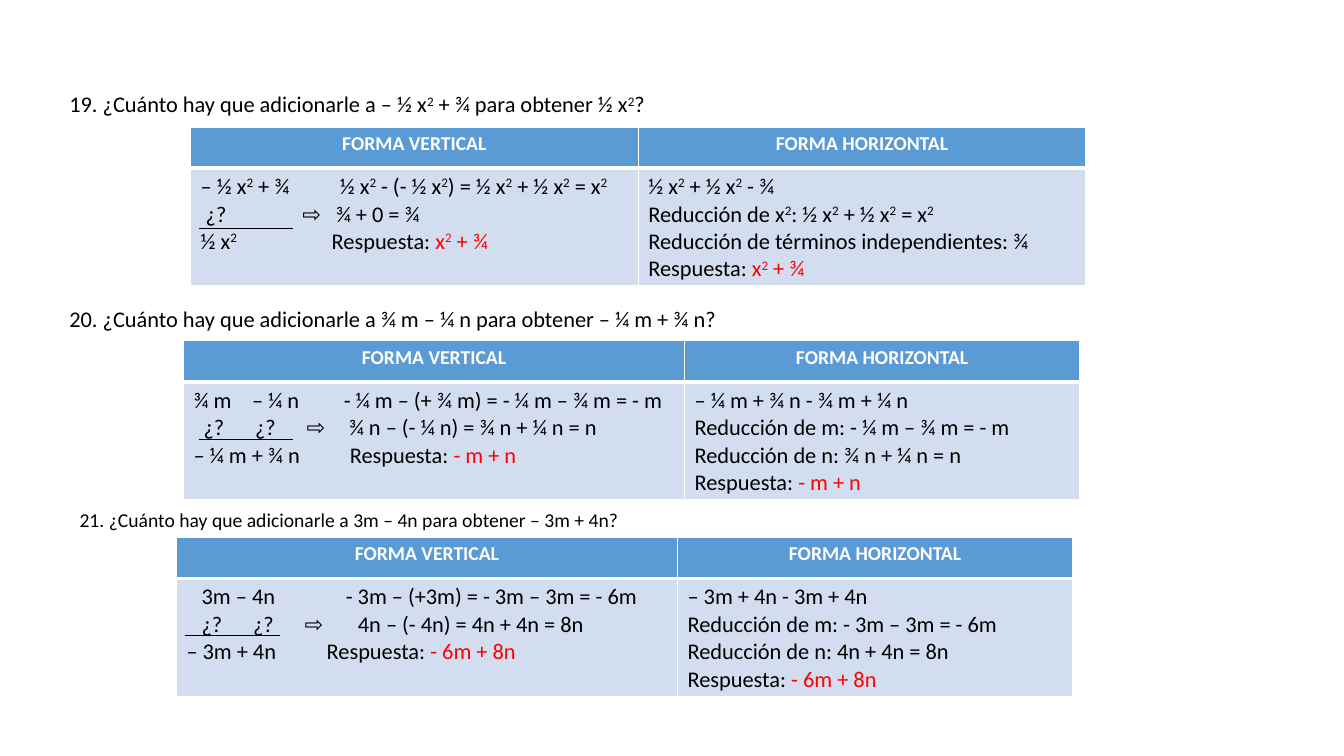
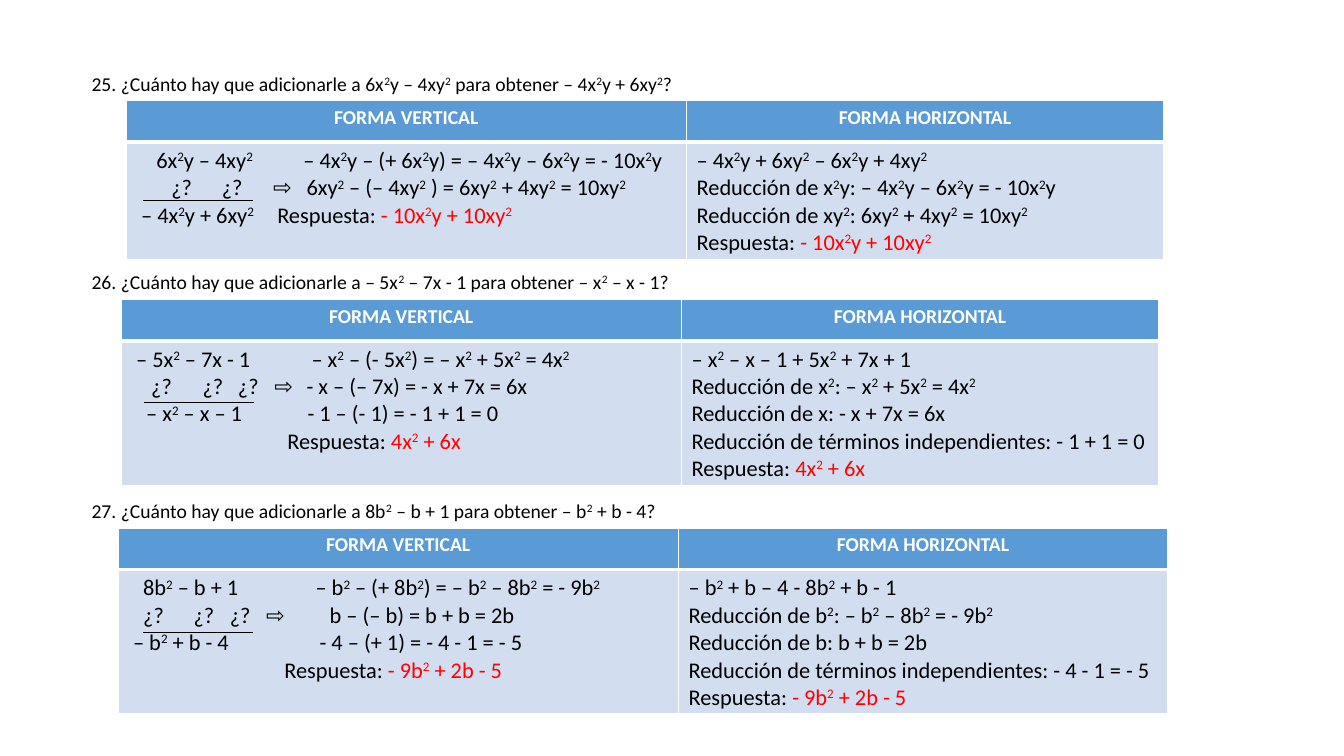
"""Builds two slides of algebra exercises, each solved in vertical and horizontal form."""
from dataclasses import dataclass
from typing import NamedTuple

from lxml.etree import SubElement
from pptx import Presentation
from pptx.dml.color import RGBColor
from pptx.enum.shapes import MSO_CONNECTOR as Connector
from pptx.enum.text import PP_ALIGN as Align
from pptx.oxml import parse_xml
from pptx.oxml.ns import nsdecls, qn
from pptx.util import Inches, Pt

BLACK = RGBColor(0x00, 0x00, 0x00)
WHITE = RGBColor(0xFF, 0xFF, 0xFF)
ANSWER_RED = RGBColor(0xFF, 0x00, 0x00)
HEADER_BLUE = RGBColor(0x5B, 0x9B, 0xD5)
BODY_BLUE = RGBColor(0xD2, 0xDE, 0xEF)

FONT = "Calibri"
HEADINGS = ("FORMA VERTICAL", "FORMA HORIZONTAL")
ANSWER_LABEL = "Respuesta: "
HEADER_SIZE, BODY_SIZE = 14, 16
HEADER_HEIGHT = 0.41


class Term(NamedTuple):
    stop: float
    text: str


class Question(NamedTuple):
    left: float
    top: float
    width: float
    size: int
    text: str


class SumLine(NamedTuple):
    left: float
    top: float
    width: float


@dataclass(frozen=True)
class Exercise:
    question: Question
    left: float
    top: float
    height: float
    columns: tuple[float, float]
    sum_line: SumLine
    vertical: list[list[Term]]
    horizontal: list[str]


SLIDES = [
    [
        Exercise(
            Question(0.59, 0.85, 11.5, 16, "19. ¿Cuánto hay que adicionarle a – ½ x^2 + ¾ para obtener ½ x^2?"),
            1.89, 1.26, 1.57, (4.44, 4.44), SumLine(1.97, 2.27, 0.94),
            [
                [Term(0, "– ½ x^2 + ¾"), Term(1.38, "½ x^2 - (- ½ x^2) = ½ x^2 + ½ x^2 = x^2")],
                [Term(0.05, "¿?"), Term(1.01, "⇨"), Term(1.34, "¾ + 0 = ¾")],
                [Term(0, "½ x^2"), Term(1.3, "Respuesta: x^2 + ¾")],
            ],
            [
                "½ x^2 + ½ x^2 - ¾",
                "Reducción de x^2: ½ x^2 + ½ x^2 = x^2",
                "Reducción de términos independientes: ¾",
                "Respuesta: x^2 + ¾",
            ],
        ),
        Exercise(
            Question(0.59, 2.98, 11.5, 16, "20. ¿Cuánto hay que adicionarle a ¾ m – ¼ n para obtener – ¼ m + ¾ n?"),
            1.82, 3.38, 1.57, (4.97, 3.92), SumLine(1.97, 4.36, 0.94),
            [
                [Term(0, "¾ m"), Term(0.58, "– ¼ n"), Term(1.49, "- ¼ m – (+ ¾ m) = - ¼ m – ¾ m = - m")],
                [Term(0.1, "¿?"), Term(0.61, "¿?"), Term(1.12, "⇨"), Term(1.54, "¾ n – (- ¼ n) = ¾ n + ¼ n = n")],
                [Term(0, "– ¼ m + ¾ n"), Term(1.55, "Respuesta: - m + n")],
            ],
            [
                "– ¼ m + ¾ n - ¾ m + ¼ n",
                "Reducción de m: - ¼ m – ¾ m = - m",
                "Reducción de n: ¾ n + ¼ n = n",
                "Respuesta: - m + n",
            ],
        ),
        Exercise(
            Question(0.69, 4.99, 8.02, 14, "21. ¿Cuánto hay que adicionarle a 3m – 4n para obtener – 3m + 4n?"),
            1.75, 5.33, 1.57, (4.97, 3.92), SumLine(1.84, 6.3, 0.94),
            [
                [Term(0.15, "3m – 4n"), Term(1.58, "- 3m – (+3m) = - 3m – 3m = - 6m")],
                [Term(0.15, "¿?"), Term(0.66, "¿?"), Term(1.17, "⇨"), Term(1.7, "4n – (- 4n) = 4n + 4n = 8n")],
                [Term(0, "– 3m + 4n"), Term(1.39, "Respuesta: - 6m + 8n")],
            ],
            [
                "– 3m + 4n - 3m + 4n",
                "Reducción de m: - 3m – 3m = - 6m",
                "Reducción de n: 4n + 4n = 8n",
                "Respuesta: - 6m + 8n",
            ],
        ),
    ],
    [
        Exercise(
            Question(0.81, 0.66, 11.5, 14, "25. ¿Cuánto hay que adicionarle a 6x^2y – 4xy^2 para obtener – 4x^2y + 6xy^2?"),
            1.25, 1, 1.57, (5.56, 4.73), SumLine(1.42, 1.99, 1.09),
            [
                [Term(0.2, "6x^2y – 4xy^2"), Term(1.66, "– 4x^2y – (+ 6x^2y) = – 4x^2y – 6x^2y = - 10x^2y")],
                [Term(0.35, "¿?"), Term(0.85, "¿?"), Term(1.36, "⇨"),
                 Term(1.69, "6xy^2 – (– 4xy^2 ) = 6xy^2 + 4xy^2 = 10xy^2")],
                [Term(0.05, "– 4x^2y + 6xy^2"), Term(1.4, "Respuesta: - 10x^2y + 10xy^2")],
            ],
            [
                "– 4x^2y + 6xy^2 – 6x^2y + 4xy^2",
                "Reducción de x^2y: – 4x^2y – 6x^2y = - 10x^2y",
                "Reducción de xy^2: 6xy^2 + 4xy^2 = 10xy^2",
                "Respuesta: - 10x^2y + 10xy^2",
            ],
        ),
        Exercise(
            Question(0.81, 2.63, 6.67, 14, "26. ¿Cuánto hay que adicionarle a – 5x^2 – 7x - 1 para obtener – x^2 – x - 1?"),
            1.2, 2.97, 1.84, (5.56, 4.73), SumLine(1.43, 3.99, 1.09),
            [
                [Term(0.05, "– 5x^2 – 7x - 1"), Term(1.79, "– x^2 – (- 5x^2) = – x^2 + 5x^2 = 4x^2")],
                [Term(0.2, "¿?"), Term(0.71, "¿?"), Term(1.06, "¿?"), Term(1.42, "⇨"),
                 Term(1.74, "- x – (– 7x) = - x + 7x = 6x")],
                [Term(0.15, "– x^2 – x – 1"), Term(1.75, "- 1 – (- 1) = - 1 + 1 = 0")],
                [Term(1.55, "Respuesta: 4x^2 + 6x")],
            ],
            [
                "– x^2 – x – 1 + 5x^2 + 7x + 1",
                "Reducción de x^2: – x^2 + 5x^2 = 4x^2",
                "Reducción de x: - x + 7x = 6x",
                "Reducción de términos independientes: - 1 + 1 = 0",
                "Respuesta: 4x^2 + 6x",
            ],
        ),
        Exercise(
            Question(0.81, 4.9, 6.67, 14, "27. ¿Cuánto hay que adicionarle a 8b^2 – b + 1 para obtener – b^2 + b - 4?"),
            1.17, 5.24, 1.84, (5.56, 4.85), SumLine(1.42, 6.27, 1.09),
            [
                [Term(0.15, "8b^2 – b + 1"), Term(1.86, "– b^2 – (+ 8b^2) = – b^2 – 8b^2 = - 9b^2")],
                [Term(0.15, "¿?"), Term(0.65, "¿?"), Term(1.01, "¿?"), Term(1.37, "⇨"),
                 Term(2, "b – (– b) = b + b = 2b")],
                [Term(0.05, "– b^2 + b - 4"), Term(1.9, "- 4 – (+ 1) = - 4 - 1 = - 5")],
                [Term(1.55, "Respuesta: - 9b^2 + 2b - 5")],
            ],
            [
                "– b^2 + b – 4 - 8b^2 + b - 1",
                "Reducción de b^2: – b^2 – 8b^2 = - 9b^2",
                "Reducción de b: b + b = 2b",
                "Reducción de términos independientes: - 4 - 1 = - 5",
                "Respuesta: - 9b^2 + 2b - 5",
            ],
        ),
    ],
]


def add_run(paragraph, text: str, size: int, color: RGBColor, bold: bool = False, raised: bool = False) -> None:
    """Append one formatted run, skipping empty text."""
    if not text:
        return
    run = paragraph.add_run()
    run.text = text
    run.font.name, run.font.size, run.font.bold = FONT, Pt(size), bold
    run.font.color.rgb = color
    if raised:
        run.font._element.set("baseline", "30000")


def add_math(paragraph, text: str, size: int, color: RGBColor = BLACK) -> None:
    """Append an expression in which a caret raises the next character."""
    base, *powers = text.split("^")
    add_run(paragraph, base, size, color)
    for power in powers:
        add_run(paragraph, power[0], size, color, raised=True)
        add_run(paragraph, power[1:], size, color)


def add_terms(paragraph, terms: list[Term]) -> None:
    """Write terms at their tab stops, with the answer in red."""
    stops = [term.stop for term in terms if term.stop]
    if stops:
        tabs = SubElement(paragraph._p.get_or_add_pPr(), qn("a:tabLst"))
        for stop in stops:
            SubElement(tabs, qn("a:tab"), pos=str(Inches(stop)), algn="l")
    line = "".join(("\t" if term.stop else "") + term.text for term in terms)
    work, label, answer = line.partition(ANSWER_LABEL)
    add_math(paragraph, work + label, BODY_SIZE)
    add_math(paragraph, answer, BODY_SIZE, ANSWER_RED)


def style_cell(cell, fill: RGBColor, top: int, bottom: int) -> None:
    """Fill a cell and give it white borders."""
    cell.fill.solid()
    cell.fill.fore_color.rgb = fill
    properties = cell._tc.get_or_add_tcPr()
    for position, (side, points) in enumerate((("L", 1), ("R", 1), ("T", top), ("B", bottom))):
        properties.insert(position, parse_xml(
            f'<a:ln{side} {nsdecls("a")} w="{Pt(points)}"><a:solidFill>'
            f'<a:srgbClr val="{WHITE}"/></a:solidFill></a:ln{side}>'))


def draw_question(slide, question: Question) -> None:
    """Draw the question above a table."""
    box = slide.shapes.add_textbox(
        Inches(question.left), Inches(question.top), Inches(question.width), Inches(0.34))
    box.text_frame.word_wrap = True
    add_math(box.text_frame.paragraphs[0], question.text, question.size)


def draw_solution(slide, exercise: Exercise) -> None:
    """Draw the table with both forms of the solution."""
    table = slide.shapes.add_table(
        2, 2, Inches(exercise.left), Inches(exercise.top),
        Inches(sum(exercise.columns)), Inches(exercise.height)).table
    table.horz_banding = False
    table.rows[0].height = Inches(HEADER_HEIGHT)
    table.rows[1].height = Inches(exercise.height - HEADER_HEIGHT)
    forms = (exercise.vertical, [[Term(0, line)] for line in exercise.horizontal])
    for column, (width, heading, lines) in enumerate(zip(exercise.columns, HEADINGS, forms)):
        table.columns[column].width = Inches(width)
        header, body = table.cell(0, column), table.cell(1, column)
        style_cell(header, HEADER_BLUE, 1, 3)
        style_cell(body, BODY_BLUE, 3, 1)
        title = header.text_frame.paragraphs[0]
        title.alignment = Align.CENTER
        add_run(title, heading, HEADER_SIZE, WHITE, bold=True)
        for number, terms in enumerate(lines):
            frame = body.text_frame
            add_terms(frame.add_paragraph() if number else frame.paragraphs[0], terms)


def draw_sum_line(slide, rule: SumLine) -> None:
    """Draw the line above the result of a vertical sum."""
    line = slide.shapes.add_connector(
        Connector.STRAIGHT, Inches(rule.left), Inches(rule.top),
        Inches(rule.left + rule.width), Inches(rule.top))
    line.line.color.rgb = BLACK
    line.line.width = Pt(0.5)
    SubElement(line._element.spPr, qn("a:effectLst"))


def main() -> None:
    """Build and save the presentation."""
    deck = Presentation()
    deck.slide_width, deck.slide_height = Inches(13.33), Inches(7.5)
    for exercises in SLIDES:
        slide = deck.slides.add_slide(deck.slide_layouts[6])
        for exercise in exercises:
            draw_question(slide, exercise.question)
            draw_solution(slide, exercise)
            draw_sum_line(slide, exercise.sum_line)
    deck.save("out.pptx")


if __name__ == "__main__":
    main()
